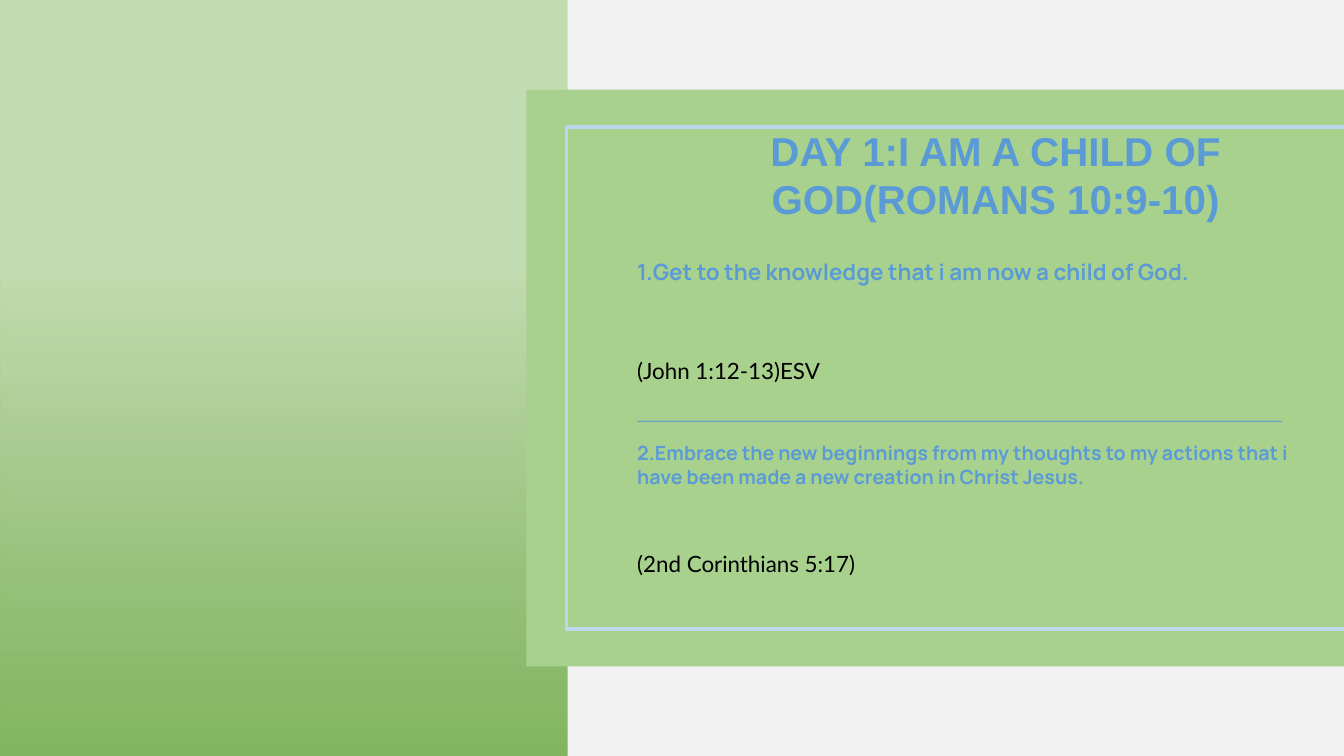
from pptx import Presentation
from pptx.dml.color import RGBColor
from pptx.enum.shapes import MSO_CONNECTOR, MSO_SHAPE
from pptx.enum.text import MSO_ANCHOR, MSO_AUTO_SIZE, PP_ALIGN
from pptx.oxml.ns import qn
from pptx.util import Inches, Pt
from lxml import etree

RECTANGLE = MSO_SHAPE.RECTANGLE
STRAIGHT = MSO_CONNECTOR.STRAIGHT
MIDDLE, BOTTOM = MSO_ANCHOR.MIDDLE, MSO_ANCHOR.BOTTOM
CENTER, LEFT = PP_ALIGN.CENTER, PP_ALIGN.LEFT
NO_AUTOSIZE = MSO_AUTO_SIZE.NONE

COLORS = {
    "backdrop": "70AD47", "white": "FFFFFF", "haze": "E7E6E6",
    "side": "F2F2F2", "panel": "A9D18E", "frame": "BDD7EE",
    "accent": "5B9BD5", "verse": "000000",
}
WIDTH, HEIGHT = 13.33, 7.5


def rgb(name):
    return RGBColor.from_string(COLORS[name])


def set_opacity(element, percents):
    for color, percent in zip(element.iter(qn("a:srgbClr")), percents):
        etree.SubElement(color, qn("a:alpha")).set("val", str(percent * 1000))


class SlideBuilder:
    """Holds the text styles and the current slide."""

    STYLES = {
        "title": {"size": Pt(28.8), "name": "Arial", "bold": True, "color": "accent"},
        "point": {"size": Pt(16), "name": "Manrope", "bold": True, "color": "accent"},
        "long point": {"size": Pt(14), "name": "Manrope", "bold": True, "color": "accent"},
        "verse": {"size": Pt(16), "name": "Lato", "bold": False, "color": "verse"},
    }

    def __init__(self, slide):
        self.slide = slide
        self.shapes = slide.shapes

    def background(self, color):
        fill = self.slide.background.fill
        fill.solid()
        fill.fore_color.rgb = rgb(color)

    def rectangle(self, left, top, width, height, color=None):
        box = self.shapes.add_shape(RECTANGLE, *map(Inches, (left, top, width, height)))
        box.shadow.inherit = False
        box.line.fill.background()
        if color:
            box.fill.solid()
            box.fill.fore_color.rgb = rgb(color)
        return box

    def gradient(self, left, top, width, height, stops):
        box = self.rectangle(left, top, width, height)
        box.fill.gradient()
        box.fill.gradient_angle = 270
        for stop, (position, color, _) in zip(box.fill.gradient_stops, stops):
            stop.position = position
            stop.color.rgb = rgb(color)
        set_opacity(box._element.spPr, [opacity for *_, opacity in stops])

    def outline(self, points, color, weight):
        corners = [(Inches(x), Inches(y)) for x, y in points]
        builder = self.shapes.build_freeform(*corners[0])
        builder.add_line_segments(corners[1:], close=False)
        frame = builder.convert_to_shape()
        frame.shadow.inherit = False
        frame.fill.background()
        frame.line.color.rgb = rgb(color)
        frame.line.width = Pt(weight)

    def rule(self, left, right, y, color, weight, opacity):
        line = self.shapes.add_connector(STRAIGHT, *map(Inches, (left, y, right, y)))
        line.line.color.rgb = rgb(color)
        line.line.width = Pt(weight)
        properties = line._element.spPr
        set_opacity(properties, [opacity])
        etree.SubElement(properties, qn("a:effectLst"))

    def fill_text(self, holder, text, style, anchor, align, spacing=1.0):
        frame = holder.text_frame
        layout = {"word_wrap": True, "auto_size": NO_AUTOSIZE, "vertical_anchor": anchor,
                  "margin_left": 0, "margin_top": 0, "margin_right": 0, "margin_bottom": 0}
        for attribute, value in layout.items():
            setattr(frame, attribute, value)
        paragraph = frame.paragraphs[0]
        paragraph.alignment = align
        paragraph.line_spacing = spacing
        run = paragraph.add_run()
        run.text = text
        for attribute, value in self.STYLES[style].items():
            if attribute == "color":
                run.font.color.rgb = rgb(value)
            else:
                setattr(run.font, attribute, value)

    def title(self, text, left, top, width, height):
        heading = self.shapes.title
        bounds = {"left": left, "top": top, "width": width, "height": height}
        for attribute, value in bounds.items():
            setattr(heading, attribute, Inches(value))
        self.fill_text(heading, text, "title", BOTTOM, CENTER)
        # Bring the heading in front of the panel
        self.shapes._spTree.append(heading._element)

    def text(self, text, style, left, top, width, height, spacing=1.0):
        box = self.shapes.add_textbox(*map(Inches, (left, top, width, height)))
        self.fill_text(box, text, style, MIDDLE, LEFT, spacing)


def main():
    deck = Presentation()
    deck.slide_width, deck.slide_height = Inches(WIDTH), Inches(HEIGHT)
    page = SlideBuilder(deck.slides.add_slide(deck.slide_layouts[5]))

    # Backdrop and panel
    page.background("backdrop")
    page.gradient(0, 0, WIDTH, HEIGHT, [(0.36, "white", 57), (1.0, "haze", 15)])
    page.rectangle(5.63, 0, WIDTH - 5.63, HEIGHT, "side")
    page.rectangle(5.22, 0.89, WIDTH - 5.22, 5.72, "panel")
    page.outline([(WIDTH, 6.24), (5.62, 6.24), (5.62, 1.26), (WIDTH, 1.26)], "frame", 2.25)

    # Heading
    page.title("DAY 1:I AM A CHILD OF GOD(ROMANS 10:9-10)", 6.42, 1.26, 6.91, 0.95)

    # Points, each followed by its verse
    text_left, text_width = 6.32, 6.48
    page.rule(text_left, 12.72, 4.18, "accent", 1, 75)
    points = [
        ("1.Get to the knowledge that i am now a child of God.", "point",
         "(John 1:12-13)ESV"),
        ("2.Embrace the new beginnings from my thoughts to my actions that i have "
         "been made a new creation in Christ Jesus.", "long point",
         "(2nd Corinthians 5:17)"),
    ]
    for index, (point, style, verse) in enumerate(points):
        top = 2.34 + index * 1.92
        page.text(point, style, text_left, top, text_width, 0.7)
        page.text(verse, "verse", text_left, top + 0.77, text_width, 0.99, spacing=1.5)

    deck.save("out.pptx")


if __name__ == "__main__":
    main()
